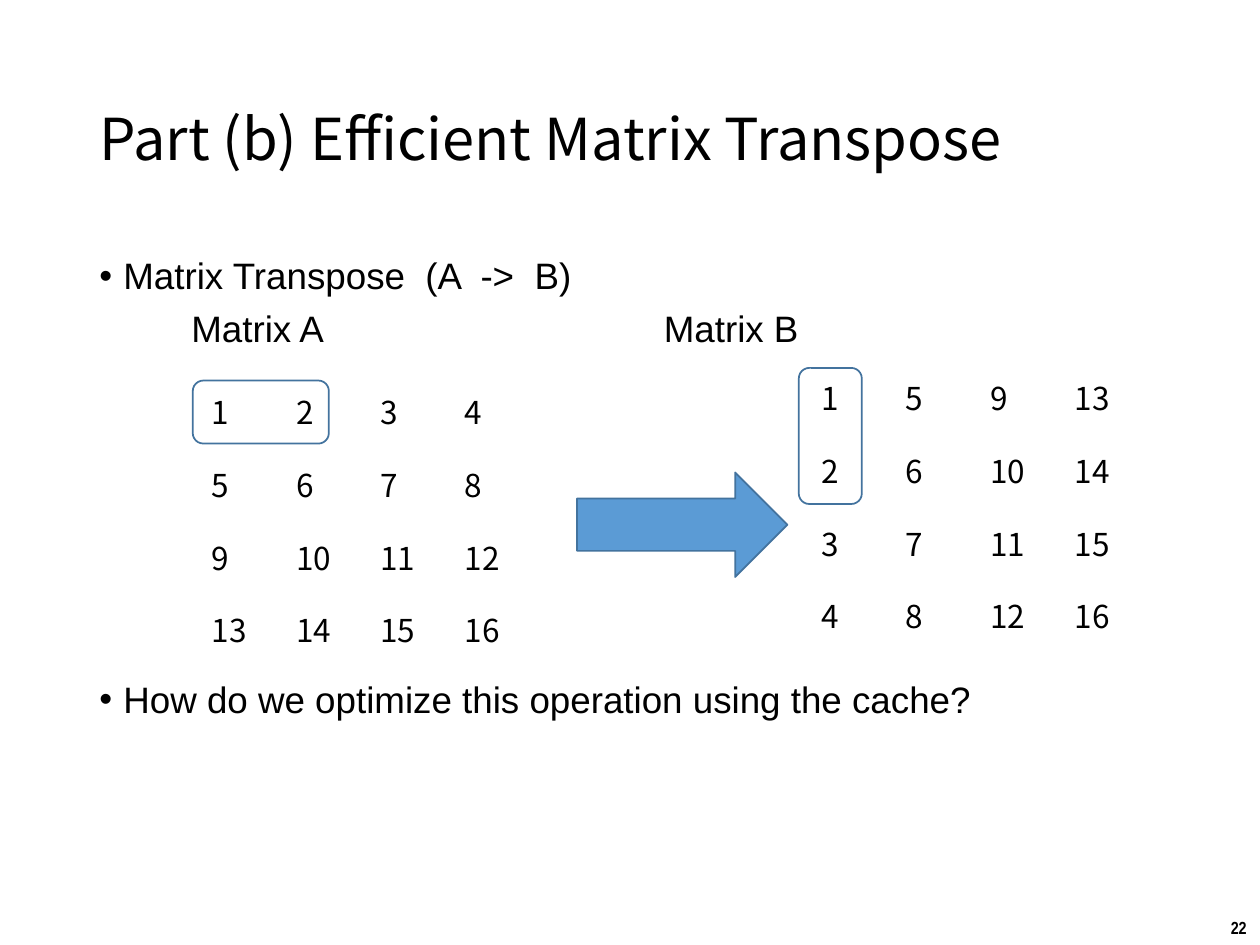
from pptx import Presentation
from pptx.dml.color import RGBColor
from pptx.enum.shapes import MSO_SHAPE
from pptx.enum.text import MSO_ANCHOR
from pptx.oxml import parse_xml
from pptx.oxml.ns import nsdecls
from pptx.util import Inches, Pt

ROUND_RECT = MSO_SHAPE.ROUNDED_RECTANGLE
RIGHT_ARROW = MSO_SHAPE.RIGHT_ARROW
TOP, MIDDLE = MSO_ANCHOR.TOP, MSO_ANCHOR.MIDDLE

# Content
TITLE = "Part (b) Efficient Matrix Transpose"
BULLETS = [  # text, top
    ("Matrix Transpose  (A  ->  B)", 2),
    ("How do we optimize this operation using the cache?", 5.36),
]
LABELS = [("Matrix A", 1.42), ("Matrix B", 5.17)]  # text, left
PAGE = "22"
MATRIX_A = [[4 * row + col + 1 for col in range(4)] for row in range(4)]
MATRIX_B = list(zip(*MATRIX_A))
MATRICES = [(MATRIX_B, 6.42, 2.92), (MATRIX_A, 1.58, 3.03)]  # values, left, top
SHAPES = [  # preset, box, rotation, fill
    (ROUND_RECT, (6.34, 2.92, 0.5, 1.08), 0, None),
    (RIGHT_ARROW, (4.58, 3.75, 1.67, 0.83), 0, "arrow"),
    (ROUND_RECT, (1.82, 2.73, 0.5, 1.08), 270, None),
]

THEME = {
    "text": RGBColor(0, 0, 0),
    "arrow": RGBColor(0x5B, 0x9B, 0xD5),
    "outline": RGBColor(0x43, 0x73, 0x9E),
    "title": ("Noto Sans CJK SC", 33),
    "body": ("Arial", 21),
    "cell": ("Noto Sans CJK SC", 18),
    "page": ("Arial Narrow", 10),
}
CELL_W, TABLE_SIZE = 0.67, 2.31
INDENT = Inches(0.19)


def write(tf, text, style, bold=False, spacing=None, before=None, bullet=False):
    p = tf.paragraphs[0]
    p.line_spacing = spacing
    if before is not None:
        p.space_before = Pt(before)
    if bullet:
        pPr = p._p.get_or_add_pPr()
        pPr.set("marL", str(INDENT))
        pPr.set("indent", str(-INDENT))
        pPr.append(parse_xml(f'<a:buFont {nsdecls("a")} typeface="Arial"/>'))
        pPr.append(parse_xml(f'<a:buChar {nsdecls("a")} char="•"/>'))
    r = p.add_run()
    r.text = text
    name, size = THEME[style]
    r.font.name, r.font.size, r.font.bold = name, Pt(size), bold
    r.font.color.rgb = THEME["text"]


def add_text(s, text, box, style, wrap=True, anchor=TOP, **fmt):
    tf = s.shapes.add_textbox(*map(Inches, box)).text_frame
    tf.word_wrap = wrap
    tf.vertical_anchor = anchor
    write(tf, text, style, **fmt)


def add_matrix(s, values, left, top):
    n = len(values)
    table = s.shapes.add_table(n, n, Inches(left), Inches(top),
                               Inches(CELL_W * n), Inches(TABLE_SIZE)).table
    table.first_row = table.horz_banding = False
    for i, row in enumerate(values):
        for j, value in enumerate(row):
            cell = table.cell(i, j)
            cell.fill.background()
            write(cell.text_frame, str(value), "cell")


def add_outlined(s, preset, box, rotation, fill):
    sp = s.shapes.add_shape(preset, *map(Inches, box))
    sp.shadow.inherit = False
    sp.rotation = rotation
    sp.line.color.rgb = THEME["outline"]
    sp.line.width = Pt(1)
    if fill:
        sp.fill.solid()
        sp.fill.fore_color.rgb = THEME[fill]
    else:
        sp.fill.background()


def main():
    prs = Presentation()
    prs.slide_width, prs.slide_height = Inches(10), Inches(7.5)
    s = prs.slides.add_slide(prs.slide_layouts[6])

    # Page number
    add_text(s, PAGE, (9.67, 7.23, 0.34, 0.27), "page", wrap=False, bold=True)

    # Matrices
    for matrix in MATRICES:
        add_matrix(s, *matrix)

    # Title, bullets and matrix labels
    add_text(s, TITLE, (0.69, 0.4, 8.62, 1.45), "title", anchor=MIDDLE, spacing=0.9)
    for text, top in BULLETS:
        add_text(s, text, (0.69, top, 8.62, 0.42), "body",
                 spacing=0.9, before=7.5, bullet=True)
    for text, left in LABELS:
        add_text(s, text, (left, 2.42, 1.5, 0.42), "body", spacing=0.9, before=7.5)

    # Highlights and arrow
    for shape in SHAPES:
        add_outlined(s, *shape)

    prs.save("out.pptx")


if __name__ == "__main__":
    main()
